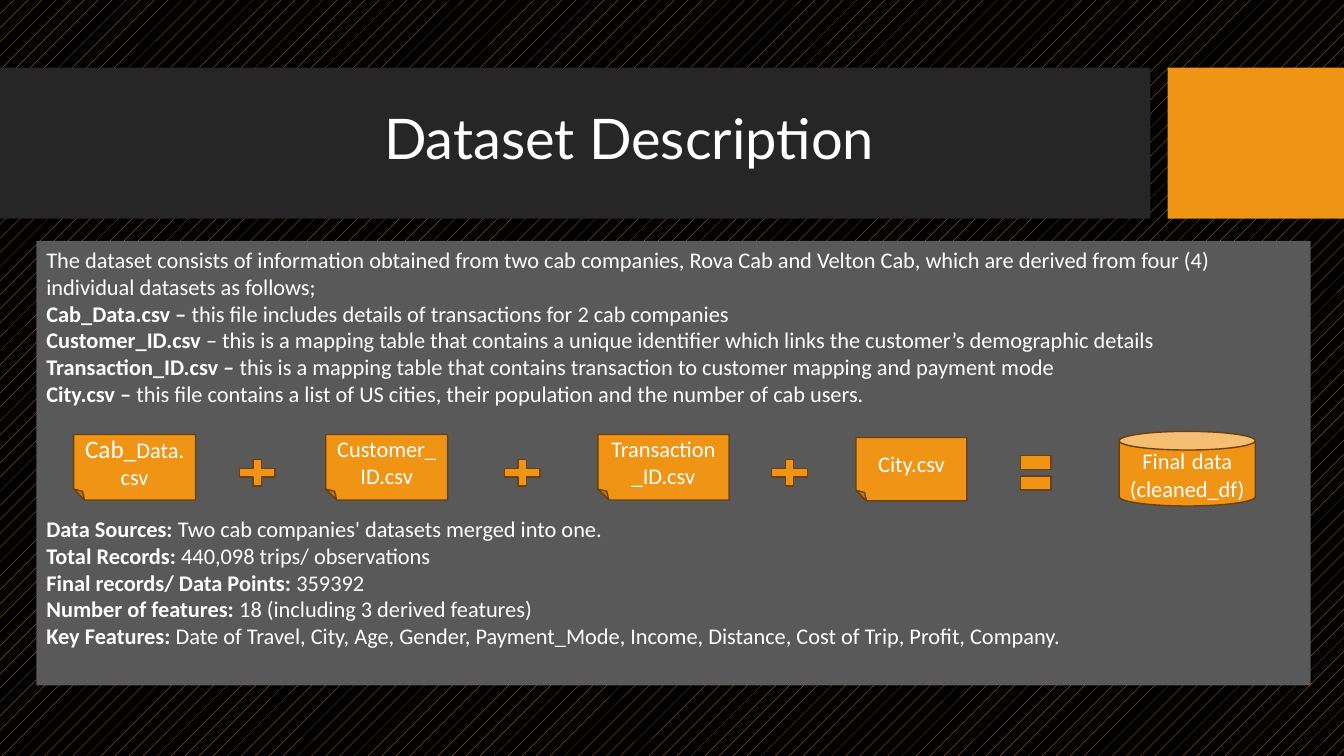
from dataclasses import dataclass

from lxml import etree
from pptx import Presentation
from pptx import util as u
from pptx.dml.color import RGBColor
from pptx.enum import dml, shapes, text
from pptx.oxml.ns import qn


@dataclass(frozen=True)
class Theme:
    black: str = "000000"
    bar: str = "262626"
    panel: str = "595959"
    accent: str = "F09415"
    outline: str = "694109"
    white: str = "FFFFFF"
    title_font: str = "Lato"
    body_font: str = "Calibri"
    title_size: int = 40
    large_size: int = 18
    body_size: int = 16


INTRO = [
    ("", "The dataset consists of information obtained from two cab companies, Rova Cab and "
         "Velton Cab, which are derived from four (4) individual datasets as follows;"),
    ("Cab_Data.csv – ", "this file includes details of transactions for 2 cab companies"),
    ("Customer_ID.csv", " – this is a mapping table that contains a unique identifier which "
                        "links the customer’s demographic details"),
    ("Transaction_ID.csv – ", "this is a mapping table that contains transaction to customer "
                              "mapping and payment mode"),
    ("City.csv – ", "this file contains a list of US cities, their population and the number "
                    "of cab users."),
]
SUMMARY = [
    ("Data Sources:", " Two cab companies' datasets merged into one."),
    ("Total Records:", " 440,098 trips/ observations"),
    ("Final records/ Data Points: ", "359392"),
    ("Number of features: ", "18 (including 3 derived features)"),
    ("Key Features:", " Date of Travel, City, Age, Gender, Payment_Mode, Income, Distance, "
                      "Cost of Trip, Profit, Company."),
]
DIAGRAM_GAP = 77


class Deck:
    def __init__(self, theme):
        self.theme = theme
        self.prs = Presentation()
        self.prs.slide_width = u.Inches(13.33)
        self.prs.slide_height = u.Inches(7.5)
        self.s = self.prs.slides.add_slide(self.prs.slide_layouts[1])

    def background(self):
        fill = self.s.background.fill
        fill.patterned()
        fill.pattern = dml.MSO_PATTERN.PERCENT_5
        fill.fore_color.rgb = RGBColor.from_string(self.theme.accent)
        fill.back_color.rgb = RGBColor.from_string(self.theme.black)

    def place(self, sp, box):
        sp.left, sp.top, sp.width, sp.height = map(u.Inches, box)

    def paint(self, sp, color):
        sp.fill.solid()
        sp.fill.fore_color.rgb = RGBColor.from_string(color)

    def style(self, r, size, font, bold=False):
        r.font.size = u.Pt(size)
        r.font.name = font
        r.font.bold = bold
        r.font.color.rgb = RGBColor.from_string(self.theme.white)

    def shape(self, kind, box, color, outlined=False):
        sp = self.s.shapes.add_shape(kind, *map(u.Inches, box))
        sp.shadow.inherit = False
        self.paint(sp, color)
        if outlined:
            sp.line.color.rgb = RGBColor.from_string(self.theme.outline)
            sp.line.width = u.Pt(1)
        else:
            sp.line.fill.background()
        return sp

    def bar(self, box, color):
        sp = self.shape(shapes.MSO_SHAPE.RECTANGLE, box, color)
        self.s.shapes.title.element.addprevious(sp.element)

    def title(self, label, box):
        sp = self.s.shapes.title
        self.place(sp, box)
        tf = sp.text_frame
        tf.text = label
        tf.auto_size = text.MSO_AUTO_SIZE.NONE
        tf.vertical_anchor = text.MSO_ANCHOR.TOP
        p = tf.paragraphs[0]
        p.alignment = text.PP_ALIGN.CENTER
        self.style(p.runs[0], self.theme.title_size, self.theme.title_font)

    def body(self, box, groups, gap):
        sp = self.s.placeholders[1]
        self.place(sp, box)
        self.paint(sp, self.theme.panel)
        tf = sp.text_frame
        tf.auto_size = text.MSO_AUTO_SIZE.NONE
        tf.vertical_anchor = text.MSO_ANCHOR.TOP
        p = None
        for g, group in enumerate(groups):
            for i, (lead, rest) in enumerate(group):
                p = tf.add_paragraph() if p is not None else tf.paragraphs[0]
                p.space_before = u.Pt(gap if g and not i else 0)
                pPr = p._p.get_or_add_pPr()
                pPr.set("marL", "0")
                pPr.set("indent", "0")
                etree.SubElement(pPr, qn("a:buNone"))
                for part, bold in ((lead, True), (rest, False)):
                    if part:
                        r = p.add_run()
                        r.text = part
                        self.style(r, self.theme.body_size, self.theme.body_font, bold)

    def node(self, kind, box, parts):
        sp = self.shape(kind, box, self.theme.accent, True)
        tf = sp.text_frame
        tf.word_wrap = True
        tf.vertical_anchor = text.MSO_ANCHOR.MIDDLE
        p = tf.paragraphs[0]
        p.alignment = text.PP_ALIGN.CENTER
        for part, size, font in parts:
            r = p.add_run()
            r.text = part
            self.style(r, size, font)
        return sp

    def file(self, box, parts):
        sp = self.node(shapes.MSO_SHAPE.FOLDED_CORNER, box, parts)
        sp.rotation = 180
        sp.element.spPr.get_or_add_xfrm().set("flipV", "1")

    def operator(self, kind, box):
        self.shape(kind, box, self.theme.accent, True)


def main():
    theme = Theme()
    deck = Deck(theme)
    deck.background()
    deck.bar((0, 0.67, 11.41, 1.5), theme.bar)
    deck.bar((11.58, 0.67, 1.75, 1.5), theme.accent)
    deck.title("Dataset Description", (3.53, 0.98, 5.42, 0.77))
    deck.body((0.36, 2.39, 12.64, 4.41), (INTRO, SUMMARY), DIAGRAM_GAP)

    def plain(label):
        return label, theme.body_size, theme.body_font

    files = [
        ((0.73, 4.31, 1.21, 0.65),
         [("Cab_", theme.large_size, theme.body_font), plain("Data.csv")]),
        ((3.23, 4.31, 1.21, 0.65), [plain("Customer_ID.csv")]),
        ((5.93, 4.31, 1.3, 0.65), [plain("Transaction_ID.csv")]),
        ((8.49, 4.34, 1.1, 0.63), [plain("City.csv")]),
    ]
    for box, parts in files:
        deck.file(box, parts)
    deck.node(shapes.MSO_SHAPE.CAN, (11.1, 4.28, 1.35, 0.74),
              [plain("Final"), (" ", theme.large_size, theme.title_font),
               plain("data (cleaned_df)")])
    for left in (2.31, 4.94, 7.59):
        deck.operator(shapes.MSO_SHAPE.MATH_PLUS, (left, 4.51, 0.48, 0.36))
    deck.operator(shapes.MSO_SHAPE.MATH_EQUAL, (10.07, 4.4, 0.41, 0.58))
    deck.prs.save("out.pptx")


if __name__ == "__main__":
    main()
